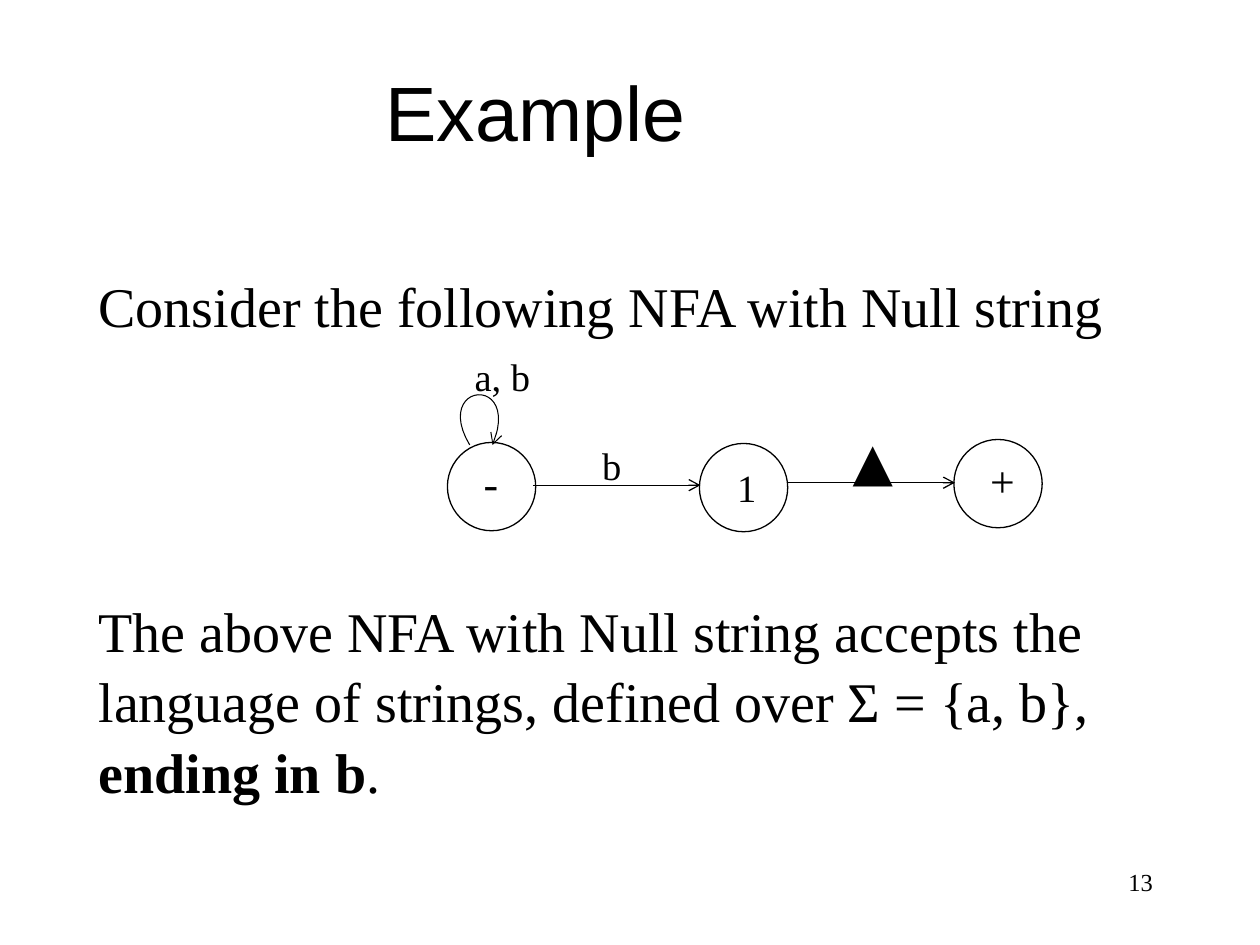
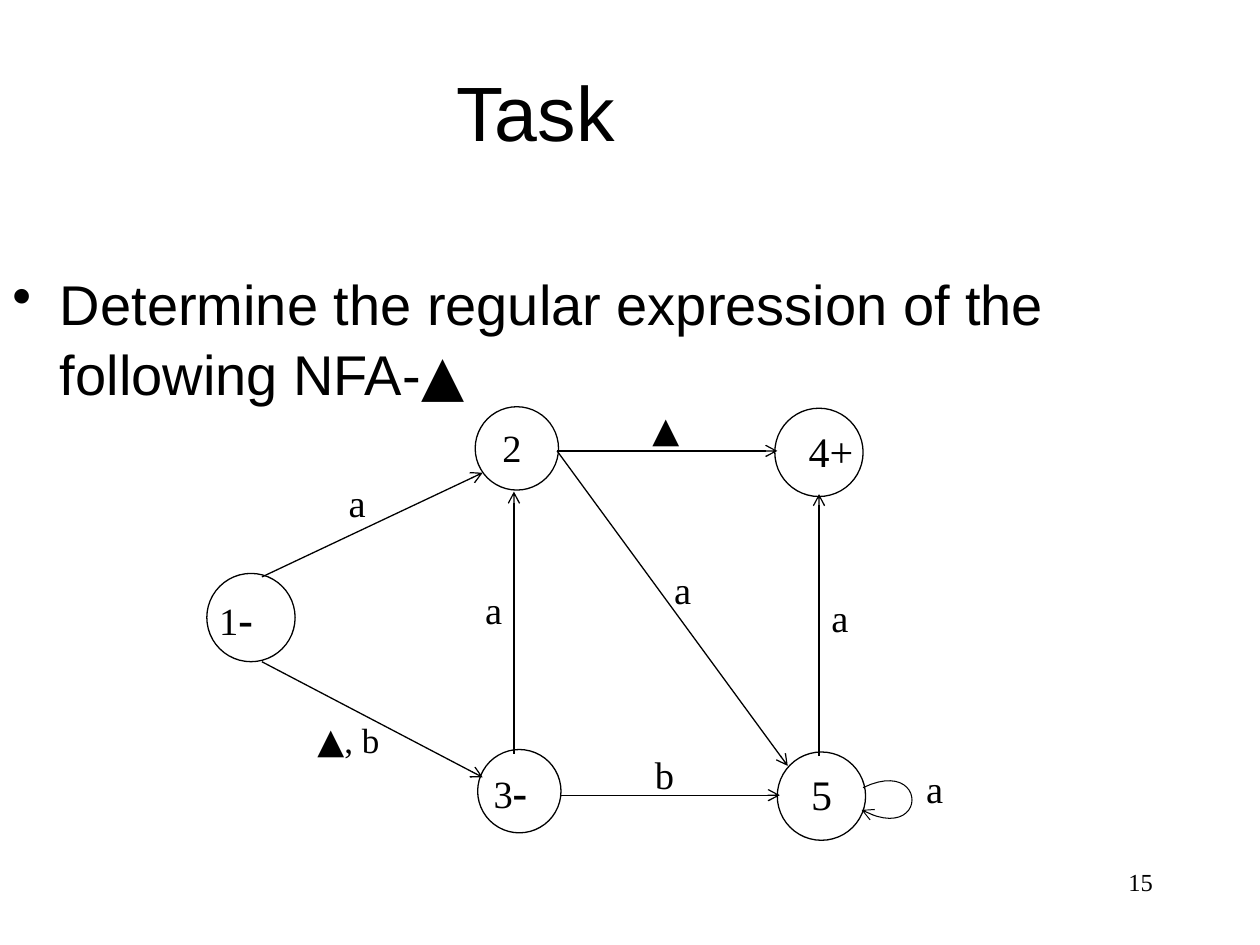
from dataclasses import dataclass

from lxml import etree
from pptx import Presentation
from pptx.dml.color import RGBColor
from pptx.enum.shapes import MSO_CONNECTOR, MSO_SHAPE
from pptx.enum.text import MSO_ANCHOR, PP_ALIGN
from pptx.oxml.ns import qn
from pptx.util import Cm, Pt

BLACK = RGBColor(0, 0, 0)
WHITE = RGBColor(255, 255, 255)
SERIF, SANS, SYMBOL = "Times New Roman", "Arial", "Cambria"
STRAIGHT, ELLIPSE = MSO_CONNECTOR.STRAIGHT, MSO_SHAPE.OVAL
LEFT, CENTER, RIGHT = PP_ALIGN.LEFT, PP_ALIGN.CENTER, PP_ALIGN.RIGHT
MIDDLE = MSO_ANCHOR.MIDDLE
TITLE_ONLY = 5
LINE_WIDTH, LOOP_WIDTH = Pt(0.75), Pt(0.6)
BODY_SIZE = 32
BODY_SPACING = 1.05
BULLET_INDENT = Cm(0.96)
LOOP_STEPS = 24

Point = tuple[float, float]


@dataclass(frozen=True)
class Run:
    text: str
    font: str = SERIF
    size: float = 22
    bold: bool = False


@dataclass(frozen=True)
class State:
    x: float
    y: float
    d: float = 1.78


@dataclass(frozen=True)
class Arrow:
    start: Point
    end: Point


@dataclass(frozen=True)
class Loop:
    start: Point
    control1: Point
    control2: Point
    end: Point

    def point(self, t: float) -> Point:
        u = 1 - t
        weights = (u**3, 3 * u * u * t, 3 * u * t * t, t**3)
        points = (self.start, self.control1, self.control2, self.end)
        return (sum(w * p[0] for w, p in zip(weights, points)),
                sum(w * p[1] for w, p in zip(weights, points)))


@dataclass(frozen=True)
class Label:
    x: float
    y: float
    runs: tuple[Run, ...]
    w: float = 1.04
    h: float = 1.02


@dataclass(frozen=True)
class Automaton:
    states: tuple[State, ...]
    arrows: tuple[Arrow, ...]
    loop: Loop
    labels: tuple[Label, ...]


def style_font(font, run: Run) -> None:
    font.name = run.font
    font.size = Pt(run.size)
    font.bold = run.bold
    font.color.rgb = BLACK


def fill_paragraph(p, runs: tuple[Run, ...], align=LEFT) -> None:
    p.alignment = align
    style_font(p.font, runs[0])
    for run in runs:
        r = p.add_run()
        r.text = run.text
        if len(runs) > 1:
            style_font(r.font, run)


def add_text(s, label: Label, align=LEFT):
    box = s.shapes.add_textbox(Cm(label.x), Cm(label.y), Cm(label.w), Cm(label.h))
    box.text_frame.word_wrap = True
    p = box.text_frame.paragraphs[0]
    fill_paragraph(p, label.runs, align)
    return p


def add_body(s, label: Label, bullet: bool = False) -> None:
    p = add_text(s, label)
    p.line_spacing = BODY_SPACING
    if bullet:
        pPr = p._p.get_or_add_pPr()
        pPr.set("marL", str(BULLET_INDENT))
        pPr.set("indent", str(-BULLET_INDENT))
        bu = etree.Element(qn("a:buChar"), char="•")
        pPr.find(qn("a:defRPr")).addprevious(bu)


def add_arrowhead(line) -> None:
    etree.SubElement(line._get_or_add_ln(), qn("a:tailEnd"), type="arrow")


def add_state(s, state: State) -> None:
    sp = s.shapes.add_shape(ELLIPSE, Cm(state.x), Cm(state.y), Cm(state.d), Cm(state.d))
    sp.shadow.inherit = False
    sp.fill.solid()
    sp.fill.fore_color.rgb = WHITE
    sp.line.color.rgb = BLACK
    sp.line.width = LINE_WIDTH


def add_arrow(s, arrow: Arrow) -> None:
    ends = [Cm(v) for v in (*arrow.start, *arrow.end)]
    cxn = s.shapes.add_connector(STRAIGHT, *ends)
    cxn.line.color.rgb = BLACK
    cxn.line.width = LINE_WIDTH
    add_arrowhead(cxn.line)
    etree.SubElement(cxn._element.spPr, qn("a:effectLst"))


def add_loop(s, loop: Loop) -> None:
    points = [loop.point(i / LOOP_STEPS) for i in range(LOOP_STEPS + 1)]
    (x, y), *rest = [(Cm(px), Cm(py)) for px, py in points]
    builder = s.shapes.build_freeform(x, y)
    builder.add_line_segments(rest, close=False)
    sp = builder.convert_to_shape()
    sp.shadow.inherit = False
    sp.fill.background()
    sp.line.color.rgb = BLACK
    sp.line.width = LOOP_WIDTH
    add_arrowhead(sp.line)


def add_automaton(s, automaton: Automaton) -> None:
    for state in automaton.states:
        add_state(s, state)
    for arrow in automaton.arrows:
        add_arrow(s, arrow)
    add_loop(s, automaton.loop)
    for label in automaton.labels:
        add_text(s, label)


def add_slide(prs, title: str, number: str):
    s = prs.slides.add_slide(prs.slide_layouts[TITLE_ONLY])
    sp = s.shapes.title
    sp.left, sp.top, sp.width, sp.height = Cm(0), Cm(0.64), Cm(21.59), Cm(3.18)
    sp.text_frame.vertical_anchor = MIDDLE
    fill_paragraph(sp.text_frame.paragraphs[0], (Run(title, SANS, 44),), CENTER)
    add_text(s, Label(18.21, 17.35, (Run(number, size=14),), 5.28, 1.27), RIGHT)
    return s


A, B = (Run("a"),), (Run("b"),)
MINUS = Run("-", size=25, bold=True)

EXAMPLE = Automaton(
    states=(State(9.02, 8.92), State(14.1, 8.94), State(19.23, 8.86)),
    arrows=(Arrow((10.74, 9.78), (14.12, 9.78)), Arrow((15.88, 9.73), (19.25, 9.73))),
    loop=Loop((9.47, 8.97), (8.71, 7.7), (10.52, 7.54), (9.93, 8.97)),
    labels=(
        Label(9.5, 9.07, (Run("-", size=25),)),
        Label(11.89, 8.79, B, 2.49, 1.7),
        Label(9.32, 6.99, (Run("a, b"),), 2.49, 1.7),
        Label(19.71, 9.02, (Run("+", size=25),)),
        Label(16.94, 8.51, (Run("▲", SYMBOL, 30),), 2.49, 1.7),
        Label(14.61, 9.22, (Run("1"),), 2.49, 1.7),
    ),
)

TASK = Automaton(
    states=(
        State(4.17, 11.56),
        State(9.58, 8.2, 1.68),
        State(9.63, 15.11, 1.68),
        State(15.62, 8.23),
        State(15.67, 15.16),
    ),
    arrows=(
        Arrow((11.23, 9.09), (15.67, 9.09)),
        Arrow((11.28, 16.03), (15.72, 16.03)),
        Arrow((5.28, 11.63), (9.73, 9.53)),
        Arrow((5.28, 13.34), (9.73, 15.67)),
        Arrow((10.36, 15.19), (10.36, 9.91)),
        Arrow((16.51, 15.24), (16.51, 9.96)),
        Arrow((11.23, 9.09), (15.88, 15.44)),
    ),
    loop=Loop((17.4, 15.88), (18.72, 15.24), (18.72, 17.04), (17.37, 16.33)),
    labels=(
        Label(4.17, 11.81, (Run("1"), MINUS), 2.11, 1.09),
        Label(9.88, 8.43, (Run("2"),), 2.54),
        Label(9.7, 15.29, (Run("3"), MINUS), 2.31),
        Label(16.05, 8.46, (Run("4+", size=24),), 1.73, 0.86),
        Label(16.1, 15.37, (Run("5", size=24),), 1.9, 1.14),
        Label(12.9, 8.1, (Run("▲", SYMBOL, 20),)),
        Label(6.15, 14.35, (Run("▲", SYMBOL, 20), Run(", b", size=20)), 2.11, 1.12),
        Label(12.95, 15.01, B),
        Label(6.78, 9.53, A),
        Label(9.53, 11.68, A),
        Label(13.34, 11.28, A),
        Label(16.51, 11.86, A),
        Label(18.42, 15.29, A),
    ),
)


def main() -> None:
    prs = Presentation()
    prs.slide_width, prs.slide_height = Cm(25.4), Cm(19.05)

    s = add_slide(prs, "Example", "13")
    intro = Run("Consider the following NFA with Null string", size=BODY_SIZE)
    add_body(s, Label(1.74, 5.28, (intro,), 21.74, 1.7))
    accepted = (
        Run("The above NFA with Null string accepts the language of strings, "
            "defined over Σ = {a, b}, ", size=BODY_SIZE),
        Run("ending in b", size=BODY_SIZE, bold=True),
        Run(".", size=BODY_SIZE),
    )
    add_body(s, Label(1.74, 11.83, accepted, 21.74, 4.4))
    add_automaton(s, EXAMPLE)

    s = add_slide(prs, "Task", "15")
    question = (
        Run("Determine the regular expression of the following NFA-", SANS, BODY_SIZE),
        Run("▲", SYMBOL, BODY_SIZE),
    )
    add_body(s, Label(0, 5.24, question, 22.71, 11.58), bullet=True)
    add_automaton(s, TASK)

    prs.save("out.pptx")


if __name__ == "__main__":
    main()
